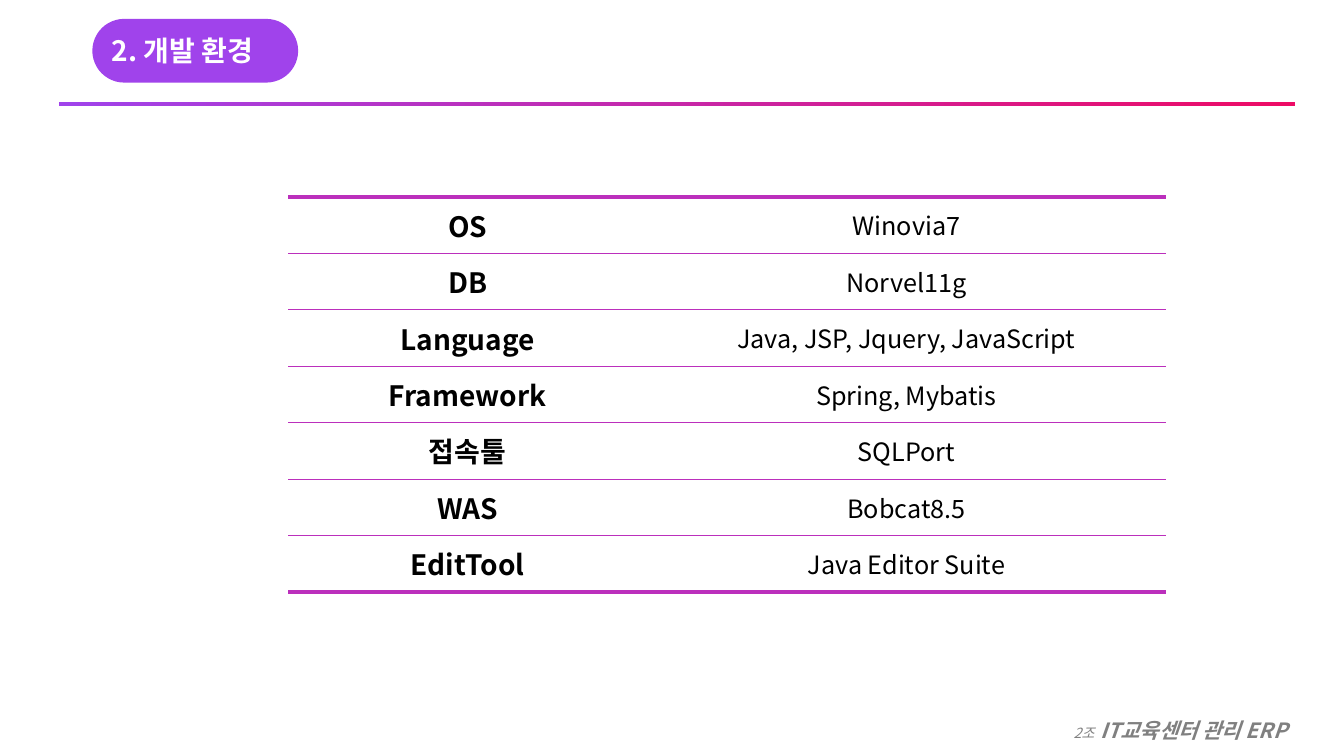
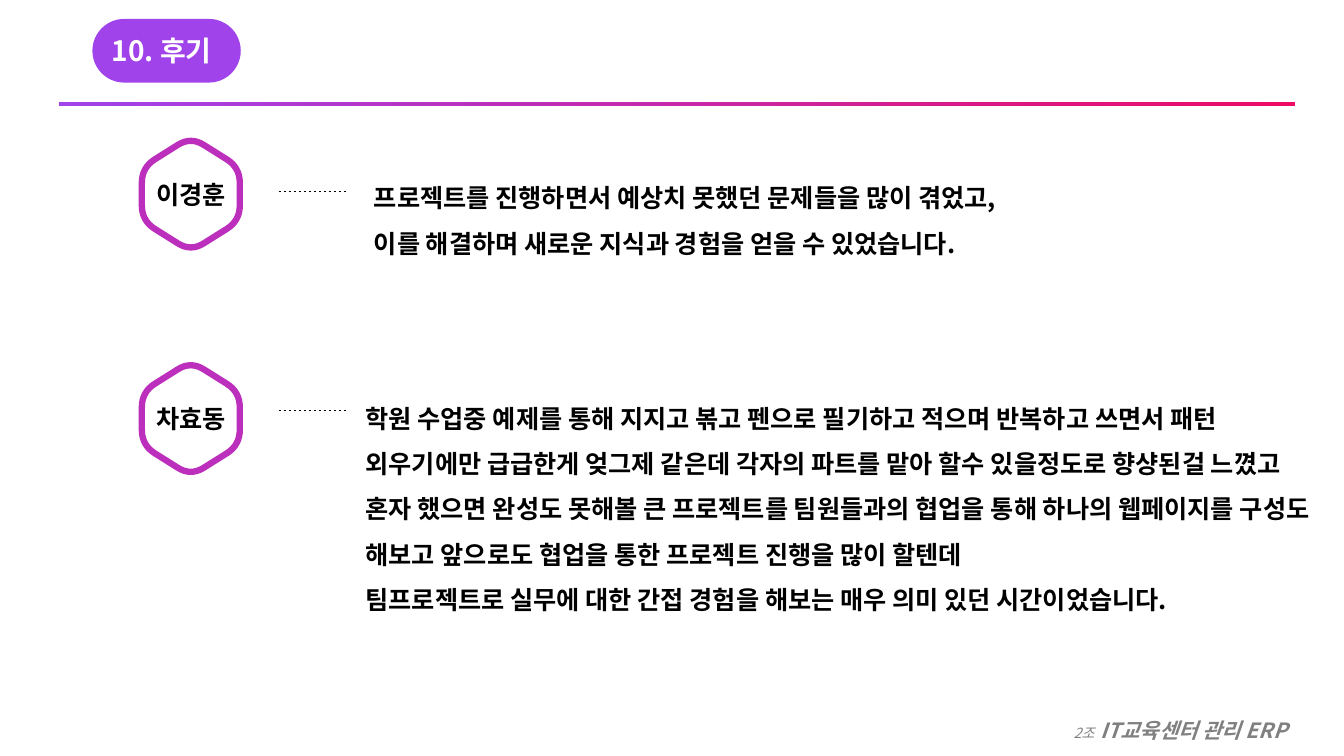
from math import dist

from lxml.etree import SubElement
from pptx import Presentation
from pptx.dml.color import RGBColor
from pptx.enum.dml import MSO_LINE
from pptx.enum.shapes import MSO_CONNECTOR, MSO_SHAPE
from pptx.enum.text import MSO_ANCHOR as ANCHOR
from pptx.enum.text import MSO_AUTO_SIZE as AUTO_SIZE
from pptx.enum.text import PP_ALIGN as ALIGN
from pptx.oxml.ns import qn
from pptx.util import Pt

FONT = "Noto Sans CJK KR"
COLORS = {
    "violet": "A043EB",
    "magenta": "BB2FBC",
    "pink": "ED0B65",
    "black": "000000",
    "gray": "808080",
    "white": "FFFFFF",
}


def write(paragraph, text, size=18, color="black", bold=True, italic=False,
          align=ALIGN.LEFT, spacing=None):
    """Append text to a paragraph; a newline becomes a line break."""
    paragraph.alignment = align
    paragraph.line_spacing = spacing
    for number, line in enumerate(text.split("\n")):
        if number:
            paragraph.add_line_break()
        run = paragraph.add_run()
        run.text = line
        font = run.font
        font.name, font.size = FONT, Pt(size)
        font.bold, font.italic = bold, italic
        font.color.rgb = RGBColor.from_string(COLORS[color])
        SubElement(font._element, qn("a:ea"), typeface=FONT)


def add_text_area(slide, left, top, width, height):
    frame = slide.shapes.add_textbox(Pt(left), Pt(top), Pt(width), Pt(height)).text_frame
    frame.word_wrap = True
    frame.auto_size = AUTO_SIZE.SHAPE_TO_FIT_TEXT
    return frame


deck = Presentation()
deck.slide_width, deck.slide_height = Pt(960), Pt(540)

# Shared heading, rule and footer
slides = []
for title, pill_width in [("2. 개발 환경", 147), ("10. 후기", 106)]:
    slide = deck.slides.add_slide(deck.slide_layouts[6])
    slides.append(slide)

    pill = slide.shapes.add_shape(MSO_SHAPE.ROUNDED_RECTANGLE, Pt(66), Pt(13.5),
                                  Pt(pill_width), Pt(45.5))
    pill.adjustments[0] = 0.5
    pill.fill.solid()
    pill.fill.fore_color.rgb = RGBColor.from_string(COLORS["violet"])
    pill.text_frame.vertical_anchor = ANCHOR.MIDDLE
    write(pill.text_frame.paragraphs[0], title, size=20, color="white")

    rule = slide.shapes.add_shape(MSO_SHAPE.RECTANGLE, Pt(42), Pt(73), Pt(883), Pt(3))
    rule.fill.gradient()
    rule.fill.gradient_angle = 0
    for stop, color, position in zip(rule.fill.gradient_stops, ("violet", "pink"), (0, 1)):
        stop.color.rgb = RGBColor.from_string(COLORS[color])
        stop.position = position

    for shape in (pill, rule):
        shape.line.fill.background()
        shape.shadow.inherit = False

    footer = add_text_area(slide, 718.5, 492, 208, 39).paragraphs[0]
    for text, size, bold in [("2조", 10, False), (" ", 20, False),
                             ("IT교육센터 관리 ERP", 15, True)]:
        write(footer, text, size=size, color="gray", bold=bold, italic=True,
              align=ALIGN.RIGHT, spacing=1.5)

environment_slide, review_slide = slides

# Development environment
environment = [
    ("OS", "Winovia7"),
    ("DB", "Norvel11g"),
    ("Language", "Java, JSP, Jquery, JavaScript"),
    ("Framework", "Spring, Mybatis"),
    ("접속툴", "SQLPort"),
    ("WAS", "Bobcat8.5"),
    ("EditTool", "Java Editor Suite"),
]
row_height = 40.32
table = environment_slide.shapes.add_table(
    len(environment), 2, Pt(206), Pt(140.5), Pt(627), Pt(row_height * len(environment))).table
table.first_row = table.horz_banding = False
table.columns[0].width, table.columns[1].width = Pt(256), Pt(371)

last_row = len(environment) - 1
for row, entry in enumerate(environment):
    table.rows[row].height = Pt(row_height)
    borders = {"lnL": 0, "lnR": 0, "lnT": 3 if row == 0 else 0.5,
               "lnB": 3 if row == last_row else 0.5}
    for column, text in enumerate(entry):
        cell = table.cell(row, column)
        cell.vertical_anchor = ANCHOR.MIDDLE
        is_label = column == 0
        write(cell.text_frame.paragraphs[0], text, size=20 if is_label else 18,
              bold=is_label, align=ALIGN.CENTER)
        properties = cell._tc.get_or_add_tcPr()
        for side, weight in borders.items():
            border = SubElement(properties, qn(f"a:{side}"), w=str(Pt(weight)))
            if weight:
                fill = SubElement(border, qn("a:solidFill"))
                SubElement(fill, qn("a:srgbClr"), val=COLORS["magenta"])
            else:
                SubElement(border, qn("a:noFill"))
        cell.fill.background()

# Reviews: member, badge centre, dash height, text box, paragraphs
reviews = [
    ("이경훈", 138.7, 137, (260, 116, 643, 73), [
        "프로젝트를 진행하면서 예상치 못했던 문제들을 많이 겪었고,\n"
        "이를 해결하며 새로운 지식과 경험을 얻을 수 있었습니다.",
    ]),
    ("차효동", 299, 293, (254, 273.5, 695.5, 170.5), [
        "학원 수업중 예제를 통해 지지고 볶고 펜으로 필기하고 적으며 반복하고 쓰면서 패턴 "
        "외우기에만 급급한게 엊그제 같은데 각자의 파트를 맡아 할수 있을정도로 향샹된걸 느꼈고 "
        "혼자 했으면 완성도 못해볼 큰 프로젝트를 팀원들과의 협업을 통해 하나의 웹페이지를 "
        "구성도 해보고 앞으로도 협업을 통한 프로젝트 진행을 많이 할텐데",
        "팀프로젝트로 실무에 대한 간접 경험을 해보는 매우 의미 있던 시간이었습니다.",
    ]),
]
badge_x, corner_cut, corner_steps = 136.3, 11, 8
hexagon = [(0, -41), (35, -19), (35, 19), (0, 41), (-35, 19), (-35, -19)]

# Each corner is a quadratic curve between points on its two edges
badge_outline = []
for index, corner in enumerate(hexagon):
    start, end = [
        [c + (n - c) * corner_cut / dist(corner, neighbour) for c, n in zip(corner, neighbour)]
        for neighbour in (hexagon[index - 1], hexagon[(index + 1) % len(hexagon)])
    ]
    for step in range(corner_steps + 1):
        t = step / corner_steps
        badge_outline.append([(1 - t) ** 2 * s + 2 * t * (1 - t) * c + t ** 2 * e
                              for s, c, e in zip(start, corner, end)])

for member, badge_y, dash_y, text_area, paragraphs in reviews:
    points = [(Pt(badge_x + x), Pt(badge_y + y)) for x, y in badge_outline]
    builder = review_slide.shapes.build_freeform(*points[0])
    builder.add_line_segments(points[1:], close=True)
    badge = builder.convert_to_shape()
    badge.shadow.inherit = False
    badge.fill.background()
    badge.line.color.rgb = RGBColor.from_string(COLORS["magenta"])
    badge.line.width = Pt(4.5)
    badge.text_frame.margin_left = badge.text_frame.margin_right = 0
    badge.text_frame.vertical_anchor = ANCHOR.MIDDLE
    write(badge.text_frame.paragraphs[0], member, align=ALIGN.CENTER)

    dash = review_slide.shapes.add_connector(MSO_CONNECTOR.STRAIGHT, Pt(199), Pt(dash_y),
                                             Pt(248.5), Pt(dash_y))
    dash.line.color.rgb = RGBColor.from_string(COLORS["black"])
    dash.line.width = Pt(0.5)
    dash.line.dash_style = MSO_LINE.DASH
    SubElement(dash._element.spPr, qn("a:effectLst"))

    frame = add_text_area(review_slide, *text_area)
    for number, text in enumerate(paragraphs):
        paragraph = frame.add_paragraph() if number else frame.paragraphs[0]
        write(paragraph, text, spacing=1.5)

deck.save("out.pptx")
